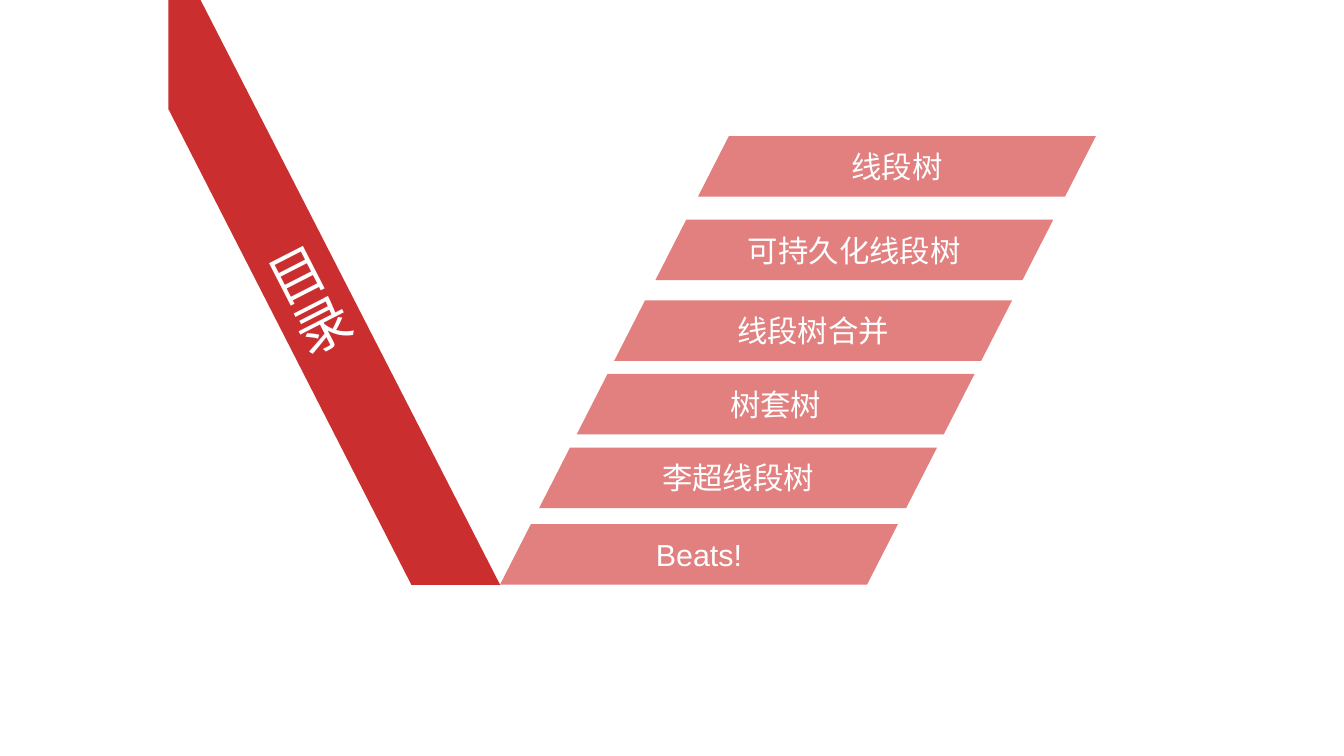
from dataclasses import dataclass
from math import cos, radians, sin

from pptx import Presentation
from pptx.dml.color import RGBColor
from pptx.enum.text import MSO_ANCHOR, MSO_AUTO_SIZE, PP_ALIGN
from pptx.util import Inches, Pt

CELL = 0.1  # grid cell in inches: the slide is 133.3 columns by 75 rows


@dataclass(frozen=True)
class Theme:
    """Colours, font and type sizes of the slide."""
    band: RGBColor = RGBColor(0xCB, 0x2E, 0x2E)
    bar: RGBColor = RGBColor(0xE2, 0x7F, 0x7F)
    text: RGBColor = RGBColor(0xFF, 0xFF, 0xFF)
    font: str = "Arial"
    title: float = 40
    item: float = 21.7


@dataclass(frozen=True)
class Box:
    """A region in grid columns and rows."""
    left: float
    top: float
    width: float
    height: float


THEME = Theme()
ITEMS = ["线段树", "可持久化线段树", "线段树合并", "树套树", "李超线段树", "Beats!"]
TOPS = [0, 8.3, 16.3, 23.6, 30.9, 38.5]  # rows below the top of the list


def grid(count):
    """Turn grid cells into a length."""
    return Inches(count * CELL)


def outline(slide, points, fill):
    """Draw a closed, filled outline through points given in grid cells."""
    spots = [(grid(x), grid(y)) for x, y in points]
    pen = slide.shapes.build_freeform(*spots[0])
    pen.add_line_segments(spots[1:], close=True)
    shape = pen.convert_to_shape()
    shape.shadow.inherit = False
    shape.fill.solid()
    shape.fill.fore_color.rgb = fill
    shape.line.fill.background()
    return shape


def write(shape, text, size, insets):
    """Set centred text with insets (left, top, right, bottom) in cells."""
    frame = shape.text_frame
    frame.auto_size = MSO_AUTO_SIZE.NONE
    frame.word_wrap = True
    frame.vertical_anchor = MSO_ANCHOR.MIDDLE
    (frame.margin_left, frame.margin_top,
     frame.margin_right, frame.margin_bottom) = map(grid, insets)
    frame.text = text
    line = frame.paragraphs[0]
    line.alignment = PP_ALIGN.CENTER
    line.font.name = THEME.font
    line.font.size = Pt(size)
    line.font.color.rgb = THEME.text
    return line


def draw_band(slide, box, text, angle=27.1):
    """Draw the slanted band down the box, with the title along it."""
    right, foot = box.left + box.width, box.top + box.height
    edge = [(box.left, box.top), (box.left + 3.2, box.top), (right, foot),
            (right - 8.8, foot), (box.left, box.top + 10.8)]
    # Upright the band about its centre, then let the rotation slant it.
    midx, midy = box.left + 14.2, box.top + 30.15
    turn = radians(angle)
    upright = [(midx + (x - midx) * cos(turn) - (y - midy) * sin(turn),
                midy + (x - midx) * sin(turn) + (y - midy) * cos(turn))
               for x, y in edge]
    band = outline(slide, upright, THEME.band)
    title = slide.shapes.title
    title.left, title.top = band.left, band.top
    title.width, title.height = band.width, band.height
    band.rotation = title.rotation = -angle
    # The band holds one character per line, so the title runs down it.
    line = write(title, text, THEME.title, (0.8, 1, 0.8, 1))
    line.line_spacing = Pt(THEME.title)
    band._element.addnext(title._element)  # title in front of its band


def draw_list(slide, box, items, tops, high=6, lean=0.51):
    """Draw one slanted bar per item, stepping along the box's diagonal."""
    foot = box.top + box.height
    wide = box.width - lean * box.height
    for item, drop in zip(items, tops):
        top = box.top + drop
        low = top + high
        head = box.left + lean * (foot - top)
        base = box.left + lean * (foot - low)
        bar = outline(slide, [(head, top), (head + wide, top),
                              (base + wide, low), (base, low)], THEME.bar)
        write(bar, item, THEME.item, (2.4, 0.5, 2.4, 0.5))


def main():
    """Build and save the contents slide."""
    deck = Presentation()
    deck.slide_width, deck.slide_height = grid(133.3), grid(75)
    slide = deck.slides.add_slide(deck.slide_layouts.get_by_name("Title Only"))
    draw_band(slide, Box(16.7, 0, 32.9, 58), "目录")
    draw_list(slide, Box(49.6, 13.5, 59.1, 44.5), ITEMS, TOPS)
    deck.save("out.pptx")


main()
